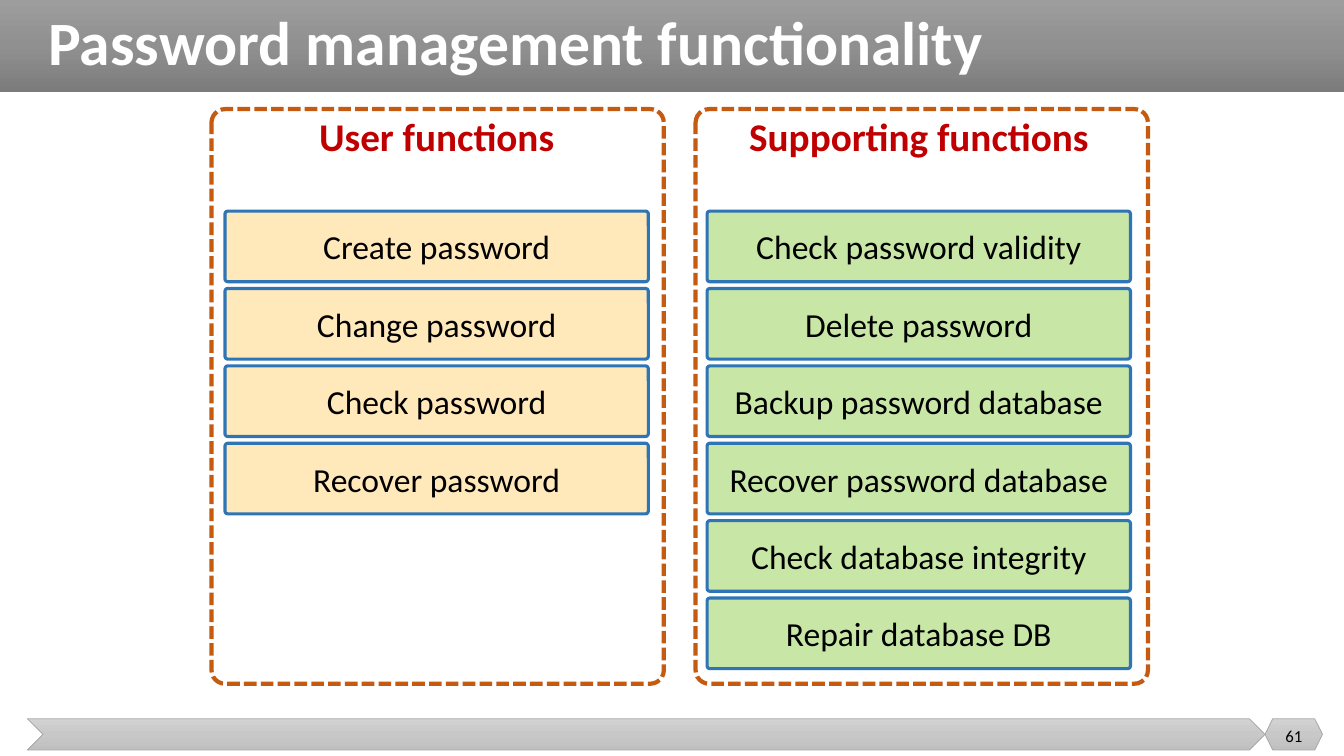
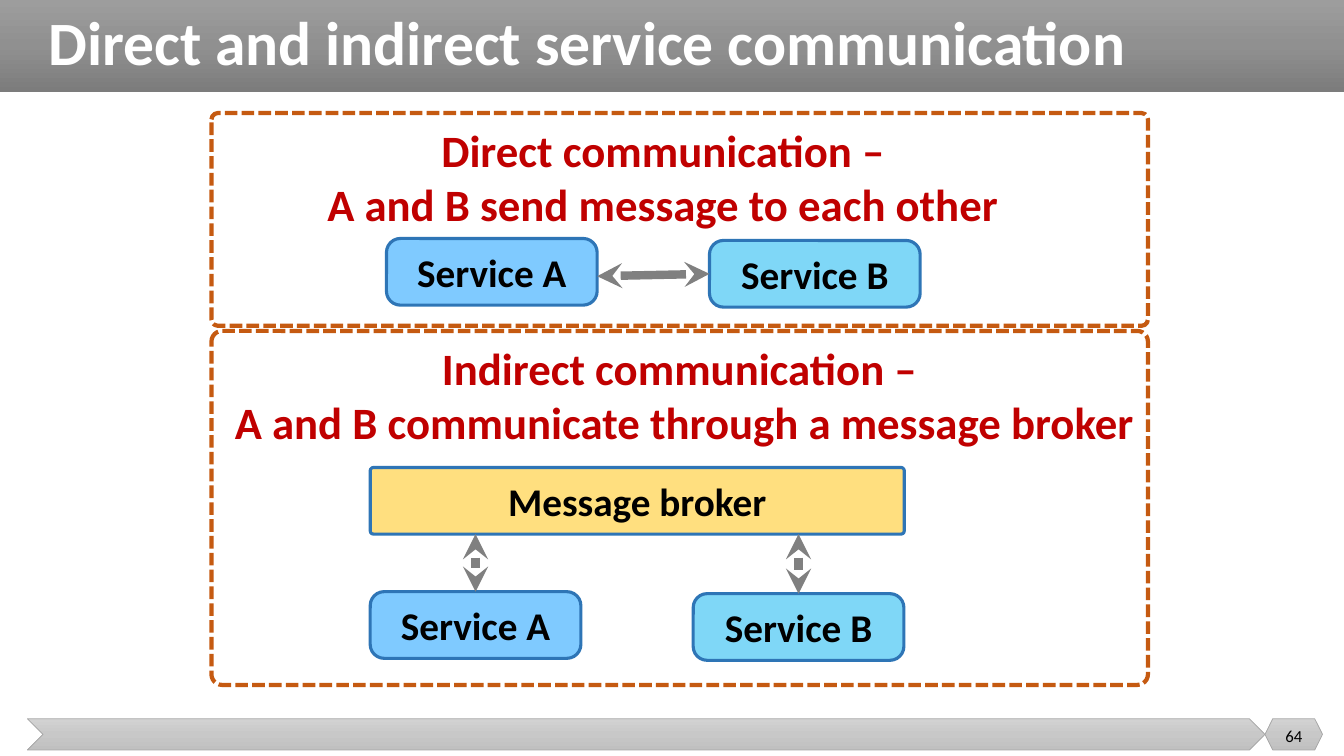
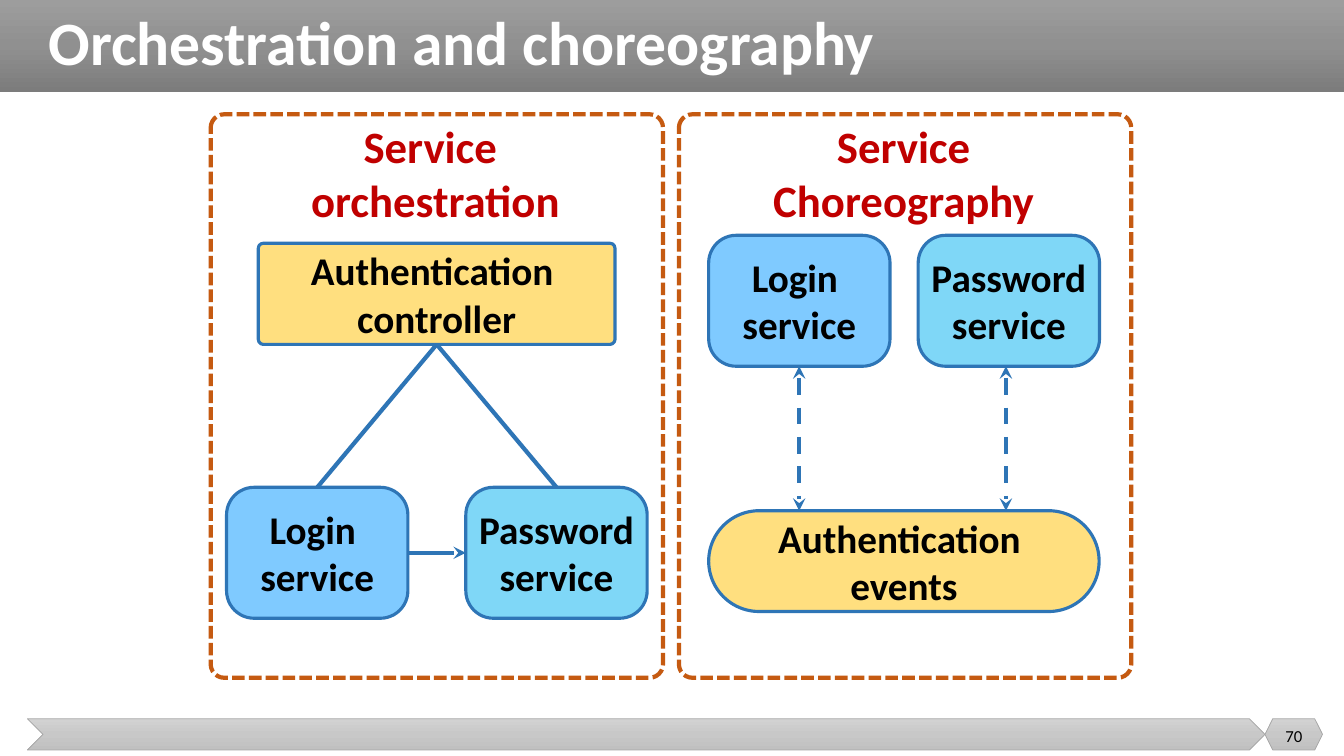
from copy import deepcopy
from dataclasses import dataclass
from enum import IntEnum
from typing import NamedTuple

from lxml.etree import SubElement
from pptx import Presentation
from pptx.dml.color import RGBColor as RGB
from pptx.enum.dml import MSO_LINE as Dash
from pptx.enum.shapes import MSO_CONNECTOR, MSO_SHAPE as Preset
from pptx.enum.text import MSO_ANCHOR as Anchor, PP_ALIGN as Align
from pptx.oxml.ns import qn
from pptx.shapes.autoshape import Shape
from pptx.shapes.connector import Connector
from pptx.slide import Slide
from pptx.util import Cm, Length, Pt


@dataclass(frozen=True)
class Theme:
    font: str = "Calibri"
    title_size: int = 44
    heading_size: int = 32
    label_size: int = 28
    item_size: int = 24
    number_size: int = 12

    title: str = "FFFFFF"
    text: str = "000000"
    heading: str = "C00000"
    outline: str = "2E75B6"
    frame: str = "C55A11"
    message: str = "808080"
    footer_line: str = "A5A5A5"
    title_band: tuple[str, ...] = ("9D9D9D", "909090", "7C7C7C")
    footer_band: tuple[str, ...] = ("D2D2D2", "C8C8C8", "C0C0C0")

    user: str = "FFD579"
    support: str = "92D050"
    service_a: str = "0096FF"
    service_b: str = "00B0F0"
    hub: str = "FFC000"


THEME = Theme()


class Box(NamedTuple):
    """Left, top, width and height in centimetres."""
    left: float
    top: float
    width: float
    height: float

    def lengths(self) -> list[Length]:
        return [Cm(v) for v in self]


class Node(NamedTuple):
    """Look of a labelled box."""
    fill: str
    radius: float
    size: int = THEME.label_size
    bold: bool = True


class Side(IntEnum):
    """Connection sites of a rectangle."""
    TOP = 0
    LEFT = 1
    BOTTOM = 2
    RIGHT = 3


class Joint(NamedTuple):
    shape: Shape
    side: Side


class Point(NamedTuple):
    x: int
    y: int


USER = Node(THEME.user, 0.04, THEME.item_size, False)
SUPPORT = Node(THEME.support, 0.04, THEME.item_size, False)
SERVICE_A = Node(THEME.service_a, 0.21)
SERVICE_B = Node(THEME.service_b, 0.21)
HUB = Node(THEME.hub, 0.05)
EVENTS = Node(THEME.hub, 0.5)


def write(sp: Shape, text: str, size: int, color: str, bold: bool = False,
          align: Align = Align.CENTER) -> None:
    tf = sp.text_frame
    tf.text = text
    for p in tf.paragraphs:
        p.alignment = align
        for r in p.runs:
            r.font.name = THEME.font
            r.font.size = Pt(size)
            r.font.bold = bold
            r.font.color.rgb = RGB.from_string(color)


def add_text(slide: Slide, box: Box, text: str, size: int, color: str,
             bold: bool = False, align: Align = Align.CENTER,
             anchor: Anchor = Anchor.TOP, wrap: bool = True) -> Shape:
    sp = slide.shapes.add_textbox(*box.lengths())
    sp.text_frame.word_wrap = wrap
    sp.text_frame.vertical_anchor = anchor
    write(sp, text, size, color, bold, align)
    return sp


def add_heading(slide: Slide, box: Box, text: str,
                size: int = THEME.heading_size, wrap: bool = True) -> None:
    add_text(slide, box, text, size, THEME.heading, bold=True, wrap=wrap)


def add_preset(slide: Slide, preset: Preset, box: Box) -> Shape:
    sp = slide.shapes.add_shape(preset, *box.lengths())
    sp.shadow.inherit = False
    return sp


def set_line(sp: Shape | Connector, color: str, width: float,
             dash: Dash | None = None) -> None:
    sp.line.color.rgb = RGB.from_string(color)
    sp.line.width = Pt(width)
    if dash is not None:
        sp.line.dash_style = dash


def add_frame(slide: Slide, box: Box) -> None:
    sp = add_preset(slide, Preset.ROUNDED_RECTANGLE, box)
    sp.adjustments[0] = 0.03
    sp.fill.background()
    set_line(sp, THEME.frame, 3, Dash.SQUARE_DOT)


def add_node(slide: Slide, box: Box, text: str, node: Node) -> Shape:
    sp = add_preset(slide, Preset.ROUNDED_RECTANGLE, box)
    sp.adjustments[0] = node.radius
    sp.fill.solid()
    sp.fill.fore_color.rgb = RGB.from_string(node.fill)
    srgb = sp.element.spPr.find(qn("a:solidFill")).find(qn("a:srgbClr"))
    SubElement(srgb, qn("a:alpha"), val="50000")
    set_line(sp, THEME.outline, 2.25)
    tf = sp.text_frame
    tf.margin_left = tf.margin_top = tf.margin_right = tf.margin_bottom = 0
    tf.word_wrap = False
    tf.vertical_anchor = Anchor.MIDDLE
    write(sp, text, node.size, THEME.text, node.bold)
    return sp


def add_link(slide: Slide, start: Joint | Point, end: Joint | Point,
             color: str = THEME.outline, width: float = 3,
             dash: Dash | None = None, heads: tuple[str, ...] = ()) -> None:
    """Join two places; heads names the ends (headEnd, tailEnd) with arrows."""
    link = slide.shapes.add_connector(MSO_CONNECTOR.STRAIGHT, 0, 0, 0, 0)
    if isinstance(start, Joint):
        link.begin_connect(*start)
    else:
        link.begin_x, link.begin_y = start
    if isinstance(end, Joint):
        link.end_connect(*end)
    else:
        link.end_x, link.end_y = end
    set_line(link, color, width, dash)
    ln = link.element.spPr.find(qn("a:ln"))
    for head in heads:
        SubElement(ln, qn(f"a:{head}"), type="stealth")
    SubElement(link.element.spPr, qn("a:effectLst"))


BOTH_ENDS = ("headEnd", "tailEnd")


def fill_gradient(sp: Shape, colors: tuple[str, ...]) -> None:
    sp.fill.gradient()
    sp.fill.gradient_angle = 270
    stops = sp.element.spPr.find(qn("a:gradFill")).find(qn("a:gsLst"))
    stops.insert(1, deepcopy(stops[0]))
    for i, (stop, color) in enumerate(zip(sp.fill.gradient_stops, colors)):
        stop.position = i / (len(colors) - 1)
        stop.color.rgb = RGB.from_string(color)


def add_bands(slide: Slide) -> None:
    title_band = add_preset(slide, Preset.RECTANGLE, Box(0, 0, 33.87, 2.31))
    title_band.line.fill.background()
    fill_gradient(title_band, THEME.title_band)
    for preset, left, width in ((Preset.CHEVRON, 0.69, 31.19),
                                (Preset.HEXAGON, 31.88, 1.45)):
        sp = add_preset(slide, preset, Box(left, 18.11, width, 0.79))
        fill_gradient(sp, THEME.footer_band)
        set_line(sp, THEME.footer_line, 0.5)


def add_title_and_number(slide: Slide, title: str, number: int) -> None:
    sp = add_text(slide, Box(0.97, 0, 32.36, 2.31), title, THEME.title_size,
                  THEME.title, True, Align.LEFT, Anchor.MIDDLE)
    sp.text_frame.paragraphs[0].line_spacing = 0.9
    add_text(slide, Box(31.88, 18.03, 1.45, 1.02), str(number),
             THEME.number_size, THEME.text, anchor=Anchor.MIDDLE)


def draw_password_functions(slide: Slide) -> None:
    columns = [
        (5.33, 5.67, "User functions", USER,
         ["Create password", "Change password", "Check password",
          "Recover password"]),
        (17.53, 17.82, "Supporting functions", SUPPORT,
         ["Check password validity", "Delete password",
          "Backup password database", "Recover password database",
          "Check database integrity", "Repair database DB"]),
    ]
    for left, inner, heading, node, items in columns:
        add_heading(slide, Box(inner, 2.71, 10.67, 1.45), heading,
                    THEME.label_size)
        for row, item in enumerate(items):
            add_node(slide, Box(inner, 5.32 + 1.95 * row, 10.67, 1.78),
                     item, node)
        add_frame(slide, Box(left, 2.75, 11.4, 14.48))


def add_services(slide: Slide, left: float, top: float) -> list[Shape]:
    return [add_node(slide, Box(left, top, 5.31, 1.68),
                     "Service A", SERVICE_A),
            add_node(slide, Box(left + 8.14, top + 0.05, 5.31, 1.68),
                     "Service B", SERVICE_B)]


def draw_communication(slide: Slide) -> None:
    add_frame(slide, Box(5.33, 2.85, 23.6, 5.36))
    add_heading(slide, Box(7.67, 2.97, 18.34, 3),
                "Direct communication – \vA and B send message to each other ",
                wrap=False)
    a, b = add_services(slide, 9.74, 6.01)
    add_link(slide, Point(a.left + a.width, Cm(6.96)), Joint(b, Side.LEFT),
             THEME.message, 6, heads=BOTH_ENDS)

    add_frame(slide, Box(5.33, 8.34, 23.6, 8.92))
    add_heading(slide, Box(5.14, 8.46, 24.23, 3),
                "Indirect communication – \v"
                "A and B communicate through a message broker", wrap=False)
    broker = add_node(slide, Box(9.33, 11.78, 13.46, 1.68),
                      "Message broker", HUB)
    for sp in add_services(slide, 9.33, 14.91):
        above = Point(sp.left + sp.width // 2, broker.top + broker.height)
        add_link(slide, above, Joint(sp, Side.TOP), THEME.message, 6,
                 heads=BOTH_ENDS)


def add_login_and_password(slide: Slide, left: float, top: float,
                           pitch: float) -> list[Shape]:
    return [add_node(slide, Box(left, top, 4.57, 3.3),
                     "Login \vservice", SERVICE_A),
            add_node(slide, Box(left + pitch, top, 4.57, 3.3),
                     "Password\nservice", SERVICE_B)]


def draw_orchestration(slide: Slide) -> None:
    for left, heading in ((5.31, "Service \vorchestration"),
                          (17.11, "Service Choreography")):
        add_frame(slide, Box(left, 2.88, 11.4, 14.2))
        add_heading(slide, Box(left + 0.33, 2.87, 10.67, 3), heading)

    controller = add_node(slide, Box(6.51, 6.13, 8.99, 2.55),
                          "Authentication \vcontroller", HUB)
    login, password = add_login_and_password(slide, 5.71, 12.28, 6.03)
    for sp in (login, password):
        add_link(slide, Joint(sp, Side.TOP), Joint(controller, Side.BOTTOM))
    add_link(slide, Joint(login, Side.RIGHT), Joint(password, Side.LEFT),
             heads=("tailEnd",))

    events = add_node(slide, Box(17.86, 12.87, 9.84, 2.54),
                      "Authentication \vevents", EVENTS)
    login, _ = add_login_and_password(slide, 17.86, 5.93, 5.28)
    for x in (20.14, 25.35):
        add_link(slide, Point(Cm(x), login.top + login.height),
                 Point(Cm(x), events.top), dash=Dash.DASH, heads=BOTH_ENDS)


def main() -> None:
    prs = Presentation()
    prs.slide_width, prs.slide_height = Cm(33.87), Cm(19.05)
    blank = prs.slide_layouts[6]
    pages = [
        ("Password management functionality", 61, draw_password_functions),
        ("Direct and indirect service communication", 64, draw_communication),
        ("Orchestration and choreography", 70, draw_orchestration),
    ]
    for title, number, draw in pages:
        slide = prs.slides.add_slide(blank)
        add_bands(slide)
        add_title_and_number(slide, title, number)
        draw(slide)
    prs.save("out.pptx")


if __name__ == "__main__":
    main()
